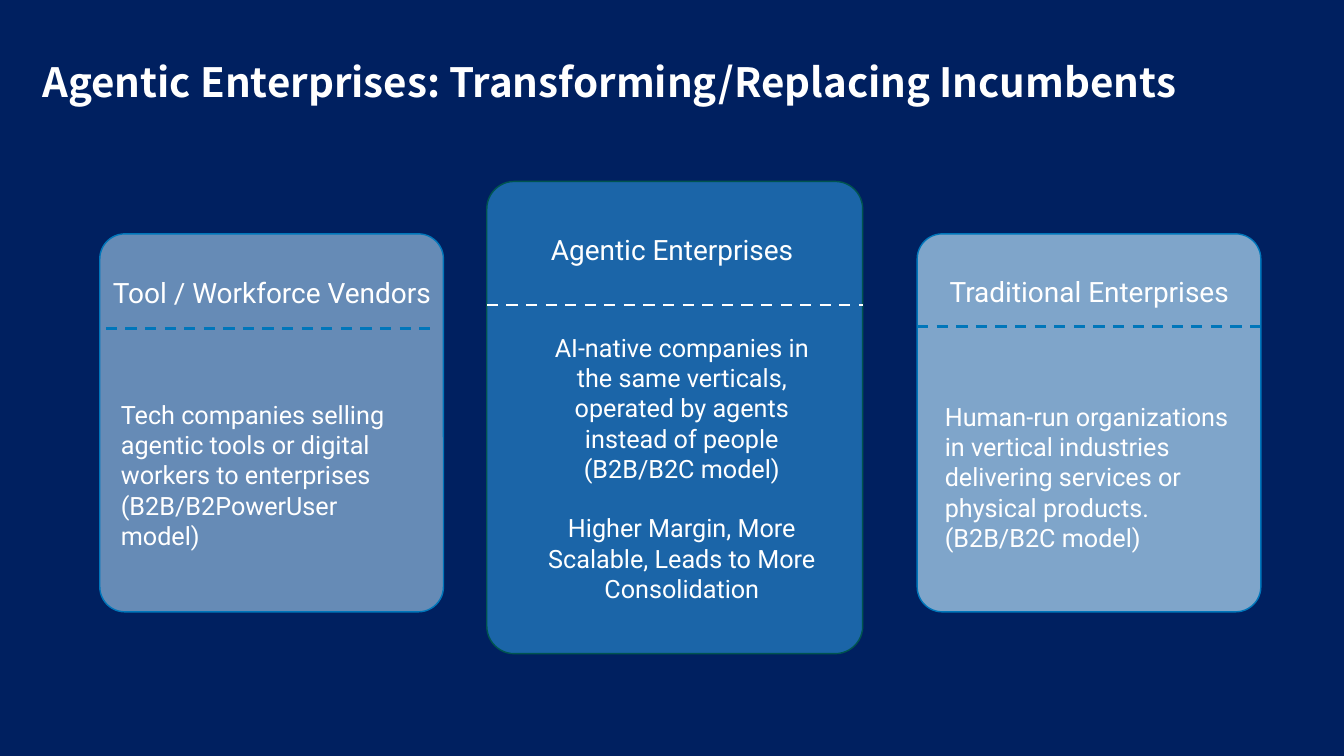
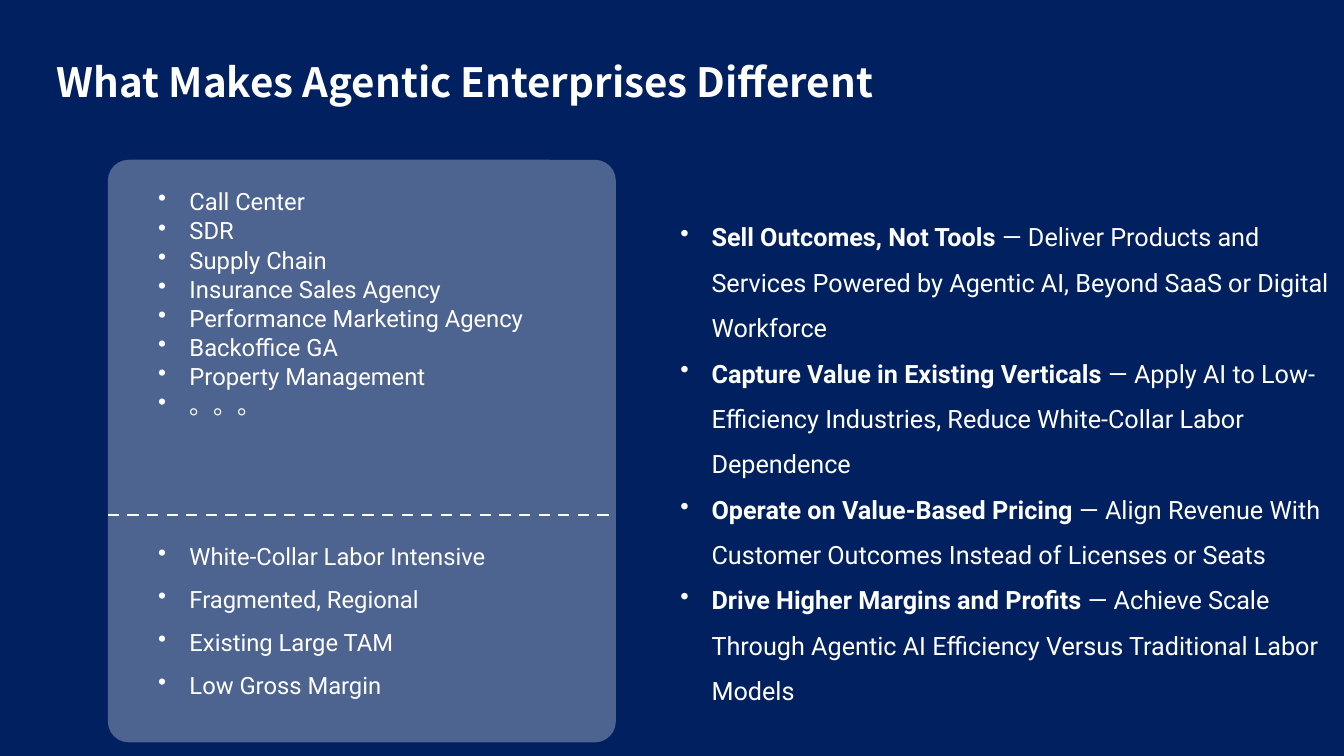
from dataclasses import dataclass

from lxml.etree import SubElement
from pptx import Presentation
from pptx.dml.color import RGBColor
from pptx.enum.dml import MSO_LINE_DASH_STYLE as Dash
from pptx.enum.shapes import MSO_CONNECTOR as Connector
from pptx.enum.shapes import MSO_SHAPE as Shape
from pptx.enum.text import MSO_ANCHOR as Anchor
from pptx.enum.text import PP_ALIGN as Align
from pptx.oxml.ns import qn
from pptx.util import Inches, Pt


@dataclass(frozen=True)
class Theme:
    background: str = "002060"
    text: str = "FFFFFF"
    blue: str = "0076BA"
    green: str = "00544F"
    bright: str = "3DB8FF"
    pale: str = "BEE7FF"
    title_font: str = "Noto Sans CJK SC"
    body_font: str = "Roboto"
    title_size: float = 57.6
    heading_size: float = 40
    body_size: float = 36
    list_size: float = 34
    outline: float = 2
    rule: float = 4
    indent: float = 0.62
    list_inset: float = 0.03


THEME = Theme()

ENTERPRISE_TITLE = "Agentic Enterprises: Transforming/Replacing Incumbents"
ENTERPRISE_CARDS = [
    {
        "heading": "Agentic Enterprises",
        "body": [
            "AI-native companies in the same verticals, operated by agents instead of people (B2B/B2C model)",
            "Higher Margin, More Scalable, Leads to More Consolidation",
        ],
        "card": (9.66, 3.6, 7.46, 9.37),
        "heading_at": (9.55, 4.57),
        "body_at": (10.57, 6.54, 5.92, 5.55),
        "rule": (9.66, 17.12, 6.05),
        "fill": (THEME.bright, 46),
        "outline": THEME.green,
        "rule_color": THEME.text,
        "align": Align.CENTER,
        "gap": 42,
    },
    {
        "heading": "Tool / Workforce Vendors",
        "body": [
            "Tech companies selling agentic tools or digital workers to enterprises (B2B/B2PowerUser model)",
        ],
        "card": (1.98, 4.64, 6.82, 7.5),
        "heading_at": (1.61, 5.41),
        "body_at": (2.3, 7.87, 5.92, 3.13),
        "rule": (2.1, 8.57, 6.52),
        "fill": (THEME.pale, 54),
        "outline": THEME.blue,
        "rule_color": THEME.blue,
        "align": Align.LEFT,
        "gap": 0,
    },
    {
        "heading": "Traditional Enterprises",
        "body": [
            "Human-run organizations in vertical industries delivering services or physical products.",
            "(B2B/B2C model)",
        ],
        "card": (18.2, 4.64, 6.82, 7.5),
        "heading_at": (17.83, 5.4),
        "body_at": (18.65, 7.91, 5.92, 3.13),
        "rule": (18.2, 25.02, 6.48),
        "fill": (THEME.pale, 67),
        "outline": THEME.blue,
        "rule_color": THEME.blue,
        "align": Align.LEFT,
        "gap": 0,
    },
]

DIFFERENCE_TITLE = "What Makes Agentic Enterprises Different"
VERTICALS = [
    "Call Center",
    "SDR",
    "Supply Chain",
    "Insurance Sales Agency",
    "Performance Marketing Agency",
    "Backoffice GA",
    "Property Management",
    "。。。",
]
TRAITS = [
    "White-Collar Labor Intensive",
    "Fragmented, Regional",
    "Existing Large TAM",
    "Low Gross Margin",
]
DIFFERENCES = [
    ("Sell Outcomes, Not Tools ",
     "— Deliver Products and Services Powered by Agentic AI, Beyond SaaS or Digital Workforce"),
    ("Capture Value in Existing Verticals ",
     "— Apply AI to Low-Efficiency Industries, Reduce White-Collar Labor Dependence"),
    ("Operate on Value-Based Pricing ",
     "— Align Revenue With Customer Outcomes Instead of Licenses or Seats"),
    ("Drive Higher Margins and Profits ",
     "— Achieve Scale Through Agentic AI Efficiency Versus Traditional Labor Models"),
]


def color(code):
    return RGBColor.from_string(code)


def add_page(deck, title, title_at):
    page = deck.slides.add_slide(deck.slide_layouts[6])
    page.background.fill.solid()
    page.background.fill.fore_color.rgb = color(THEME.background)
    add_text(page, title_at, [[(title, True)]], THEME.title_size,
             font=THEME.title_font, spacing=0.9)
    return page


def add_text(page, at, paragraphs, size, font=THEME.body_font, align=Align.LEFT,
             spacing=None, gap=0, bullets=False):
    box = page.shapes.add_textbox(*map(Inches, at))
    frame = box.text_frame
    frame.word_wrap = True
    frame.vertical_anchor = Anchor.TOP
    if bullets:
        frame.margin_left = frame.margin_right = Inches(THEME.list_inset)
        frame.margin_top = frame.margin_bottom = Inches(THEME.list_inset)
    for index, runs in enumerate(paragraphs):
        para = frame.add_paragraph() if index else frame.paragraphs[0]
        para.alignment = align
        if spacing:
            para.line_spacing = spacing
        if index and gap:
            para.space_before = Pt(gap)
        if bullets:
            add_bullet(para)
        for words, bold in runs:
            span = para.add_run()
            span.text = words
            span.font.name = font
            span.font.size = Pt(size)
            span.font.bold = bold
            span.font.color.rgb = color(THEME.text)


def add_bullet(para):
    properties = para._p.get_or_add_pPr()
    properties.set("marL", str(Inches(THEME.indent)))
    properties.set("indent", str(-Inches(THEME.indent)))
    SubElement(properties, qn("a:buChar"), char="•")


def add_card(page, at, fill, corner, outline=None):
    card = page.shapes.add_shape(Shape.ROUNDED_RECTANGLE, *map(Inches, at))
    card.adjustments[0] = corner
    card.shadow.inherit = False
    code, opacity = fill
    card.fill.solid()
    card.fill.fore_color.rgb = color(code)
    tint = card.fill._xPr.find(qn("a:solidFill"))[0]
    SubElement(tint, qn("a:alpha"), val=str(opacity * 1000))
    if outline:
        card.line.color.rgb = color(outline)
        card.line.width = Pt(THEME.outline)
    else:
        card.line.fill.background()


def add_rule(page, left, right, top, code):
    rule = page.shapes.add_connector(
        Connector.STRAIGHT, Inches(left), Inches(top), Inches(right), Inches(top))
    rule.line.color.rgb = color(code)
    rule.line.width = Pt(THEME.rule)
    rule.line.dash_style = Dash.DASH
    SubElement(rule._element.spPr, qn("a:effectLst"))


def plain(lines):
    return [[(line, False)] for line in lines]


def build_enterprises(deck):
    page = add_page(deck, ENTERPRISE_TITLE, (0.74, 1.19, 24.66, 1.31))
    for item in ENTERPRISE_CARDS:
        add_card(page, item["card"], item["fill"], 0.073, item["outline"])
        add_text(page, (*item["heading_at"], 7.57, 0.77), plain([item["heading"]]),
                 THEME.heading_size, align=Align.CENTER)
        add_text(page, item["body_at"], plain(item["body"]), THEME.body_size,
                 align=item["align"], gap=item["gap"])
    for item in ENTERPRISE_CARDS:
        add_rule(page, *item["rule"], item["rule_color"])


def build_differences(deck):
    page = add_page(deck, DIFFERENCE_TITLE, (1.03, 1.2, 18.77, 1.31))
    add_card(page, (2.14, 3.17, 10.08, 11.56), (THEME.text, 30), 0.041)
    differences = [[(lead, True), (detail, False)] for lead, detail in DIFFERENCES]
    lists = [
        ((3.11, 3.67, 7.62, 5.65), plain(VERTICALS), THEME.list_size, 1.02),
        ((3.11, 10.44, 8.39, 3.88), plain(TRAITS), THEME.list_size, 1.5),
        ((13.47, 4.07, 13.2, 8.61), differences, THEME.body_size, 1.5),
    ]
    for at, paragraphs, size, spacing in lists:
        add_text(page, at, paragraphs, size, spacing=spacing, bullets=True)
    add_rule(page, 2.14, 12.21, 10.22, THEME.text)


def main():
    deck = Presentation()
    deck.slide_width = Inches(26.67)
    deck.slide_height = Inches(15)
    build_enterprises(deck)
    build_differences(deck)
    deck.save("out.pptx")


if __name__ == "__main__":
    main()
